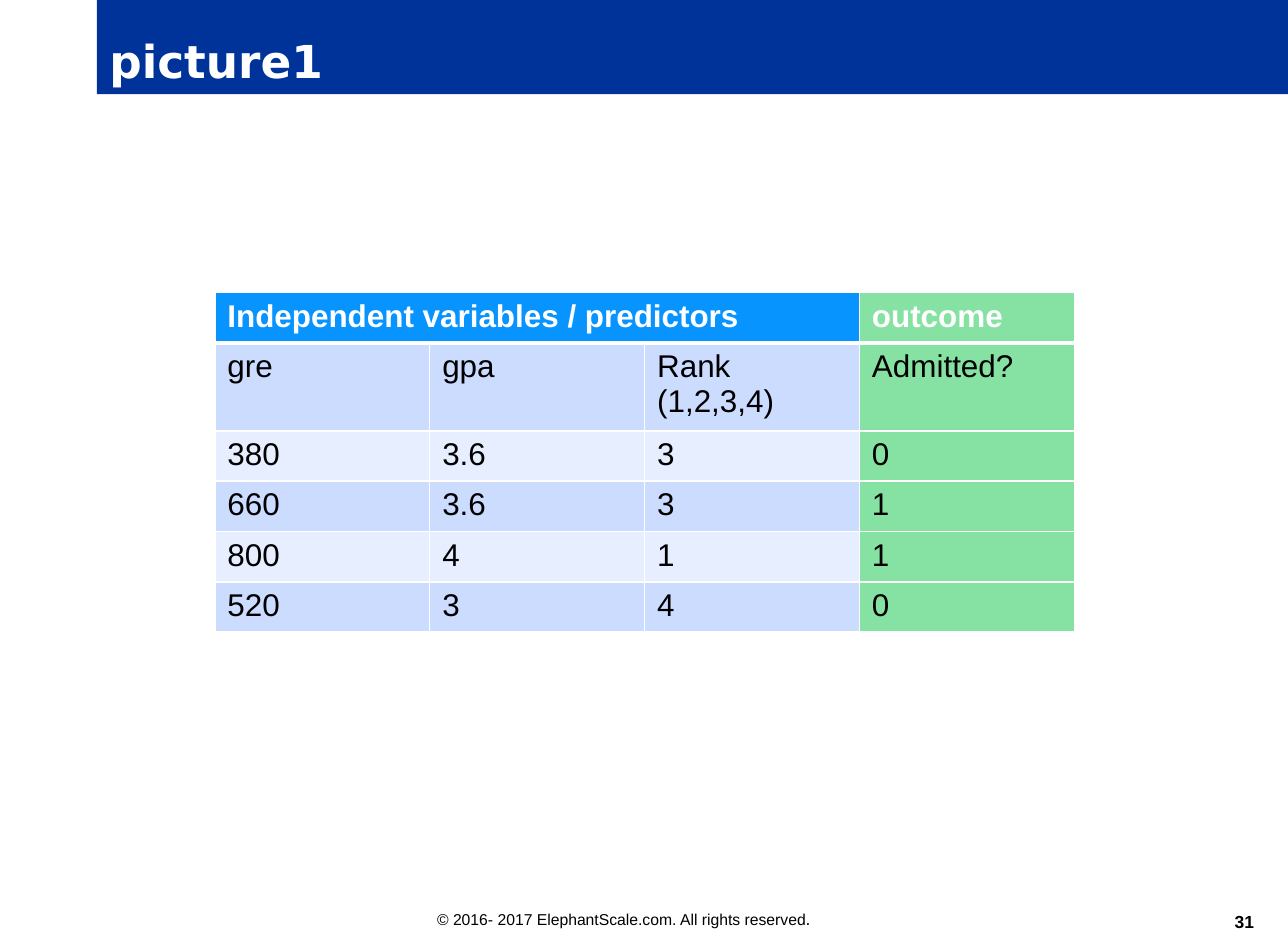
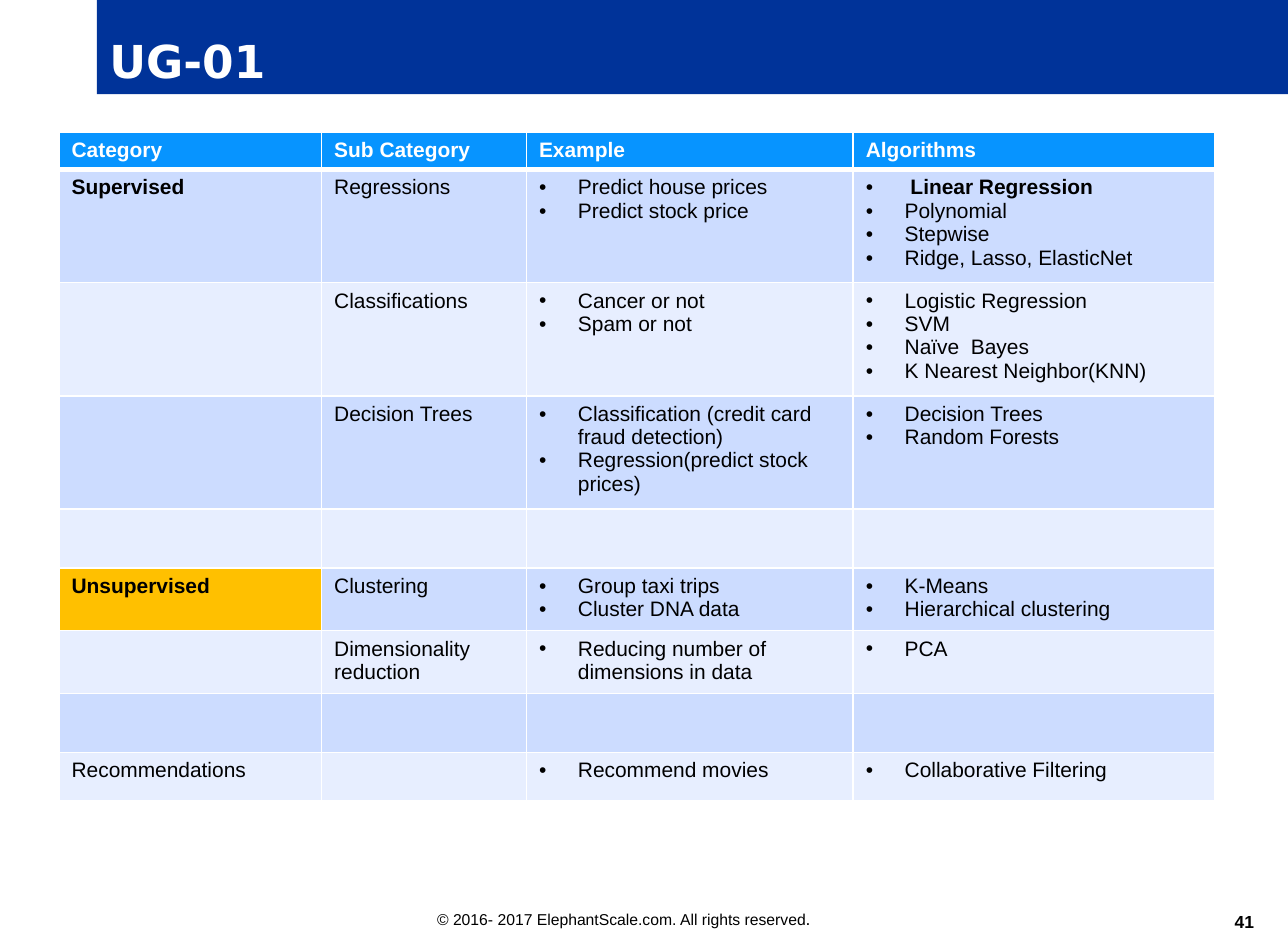
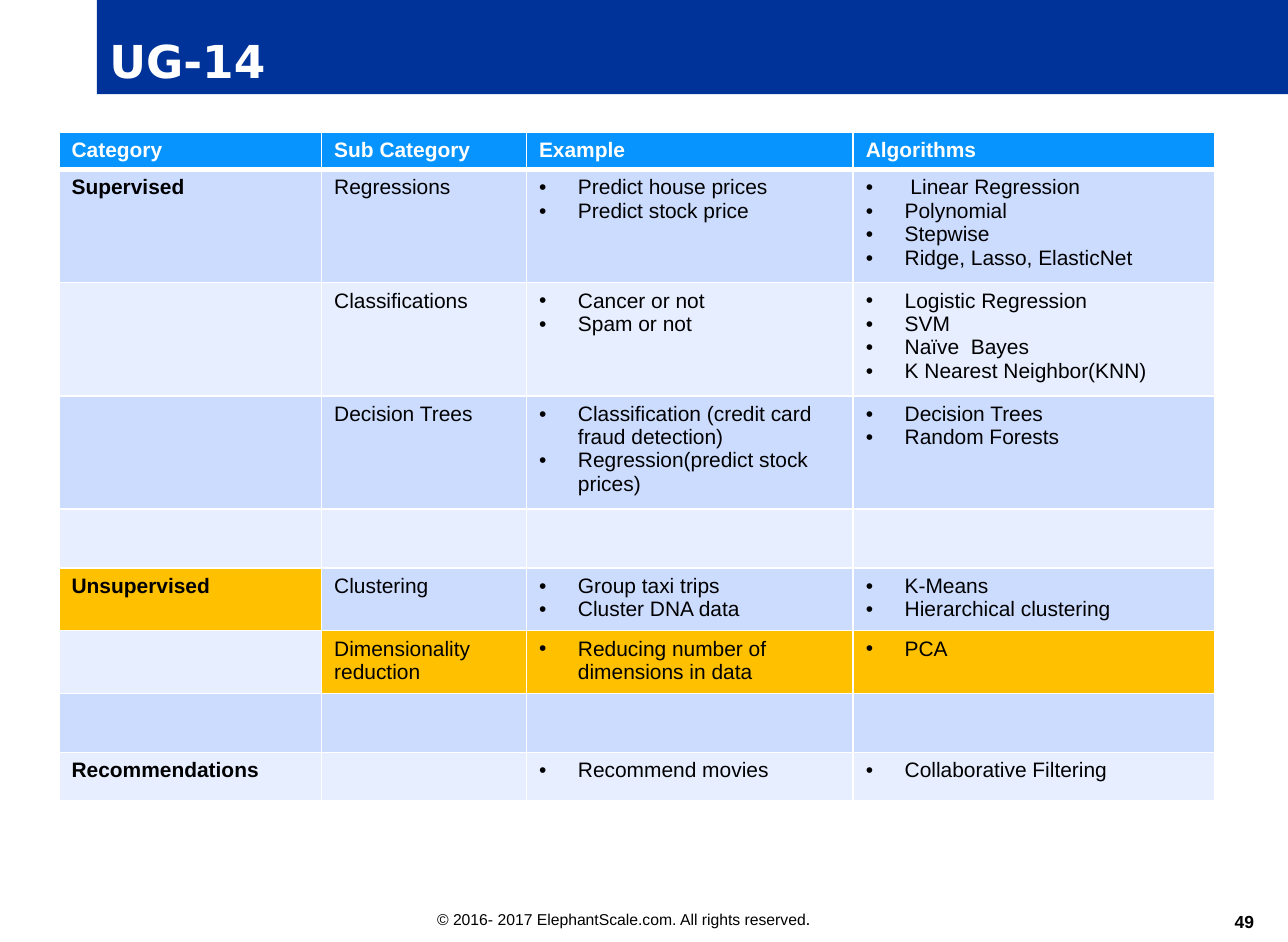
from dataclasses import dataclass

from lxml.etree import SubElement
from pptx import Presentation
from pptx.dml.color import RGBColor
from pptx.enum.text import MSO_ANCHOR as Anchor, MSO_AUTO_SIZE as AutoSize, PP_ALIGN as Align
from pptx.oxml.ns import qn
from pptx.util import Inches, Pt

COLORS = {
    "band": "003399",
    "header": "0794FF",
    "odd_row": "CCDCFF",
    "even_row": "E7EEFF",
    "outcome": "86E2A3",
    "highlight": "FFC000",
    "text": "000000",
    "white": "FFFFFF",
}
BODY_FONT = "Arial"
TITLE_FONT = "DejaVu Sans"
THIN, THICK = 0.96, 3
BULLET_INDENT = 0.31
TITLE_ONLY = 5


@dataclass(frozen=True)
class Grid:
    left: float
    top: float
    widths: tuple[float, ...]
    heights: tuple[float, ...]
    rows: tuple[tuple[str, ...], ...]
    size: int
    header_span: int = 1
    bullet_columns: frozenset[int] = frozenset()
    outcome_column: int | None = None
    bold: frozenset[str] = frozenset()
    highlighted: frozenset[str] = frozenset()


@dataclass(frozen=True)
class Page:
    title: str
    number: int
    grid: Grid


ADMISSIONS = (
    ("Independent variables / predictors", "", "", "outcome"),
    ("gre", "gpa", "Rank\n(1,2,3,4)", "Admitted?"),
    ("380", "3.6", "3", "0"),
    ("660", "3.6", "3", "1"),
    ("800", "4", "1", "1"),
    ("520", "3", "4", "0"),
)
NO_ROW = ("", "", "", "")
ALGORITHMS = (
    ("Category", "Sub Category", "Example", "Algorithms"),
    ("Supervised", "Regressions", "Predict house prices\nPredict stock price",
     " Linear Regression\nPolynomial\nStepwise\nRidge, Lasso, ElasticNet"),
    ("", "Classifications", "Cancer or not\nSpam or not",
     "Logistic Regression\nSVM\nNaïve  Bayes\nK Nearest Neighbor(KNN)"),
    ("", "Decision Trees",
     "Classification (credit card fraud detection)\nRegression(predict stock prices)",
     "Decision Trees\nRandom Forests"),
    NO_ROW,
    ("Unsupervised", "Clustering", "Group taxi trips\nCluster DNA data",
     "K-Means\nHierarchical clustering"),
    ("", "Dimensionality\nreduction", "Reducing number of dimensions in data", "PCA"),
    NO_ROW,
    ("Recommendations", "", "Recommend movies", "Collaborative Filtering"),
)


def algorithm_grid(bold: set[str], highlighted: set[str]) -> Grid:
    return Grid(
        0.47, 1.05, (2.09, 1.63, 2.6, 2.88),
        (0.29,) + (0.85,) * 3 + (0.47,) * 4 + (0.38,),
        ALGORITHMS, 12,
        bullet_columns=frozenset({2, 3}),
        bold=frozenset({"Supervised", "Unsupervised"} | bold),
        highlighted=frozenset({"Unsupervised"} | highlighted),
    )


PAGES = (
    Page("picture1", 31, Grid(
        1.71, 2.33, (1.71,) * 4, (0.38, 0.66) + (0.38,) * 4,
        ADMISSIONS, 18, header_span=3, outcome_column=3)),
    Page("UG-01", 41, algorithm_grid({" Linear Regression"}, set())),
    Page("UG-14", 49, algorithm_grid(
        {"Recommendations"},
        {"Dimensionality\nreduction", "Reducing number of dimensions in data", "PCA"})),
)


def rgb(color: str) -> RGBColor:
    return RGBColor.from_string(COLORS[color])


def set_font(font, size: float, color: str = "text", bold: bool = False,
             name: str = BODY_FONT) -> None:
    font.name, font.size, font.bold = name, Pt(size), bold
    font.color.rgb = rgb(color)


def add_solid(parent, tag: str, color: str) -> None:
    SubElement(SubElement(parent, qn(tag)), qn("a:srgbClr"), val=COLORS[color])


def add_bullet(paragraph) -> None:
    properties = paragraph._p.get_or_add_pPr()
    indent = Inches(BULLET_INDENT)
    properties.set("marL", str(indent))
    properties.set("indent", str(-indent))
    add_solid(properties, "a:buClr", "text")
    SubElement(properties, qn("a:buFont"), typeface=BODY_FONT)
    SubElement(properties, qn("a:buChar"), char="•")


def add_borders(cell, row: int) -> None:
    widths = {
        "a:lnL": THIN,
        "a:lnR": THIN,
        "a:lnT": THICK if row == 1 else THIN,
        "a:lnB": THICK if row == 0 else THIN,
    }
    properties = cell._tc.get_or_add_tcPr()
    for side, width in widths.items():
        line = SubElement(properties, qn(side), w=str(Pt(width)))
        SubElement(SubElement(line, qn("a:solidFill")), qn("a:srgbClr"), val=COLORS["white"])


def cell_color(grid: Grid, row: int, column: int) -> str:
    if column == grid.outcome_column:
        return "outcome"
    if grid.rows[row][column] in grid.highlighted:
        return "highlight"
    if row == 0:
        return "header"
    return "odd_row" if row % 2 else "even_row"


def fill_cell(cell, grid: Grid, row: int, column: int) -> None:
    add_borders(cell, row)
    cell.fill.solid()
    cell.fill.fore_color.rgb = rgb(cell_color(grid, row, column))
    text = grid.rows[row][column]
    cell.text = text
    is_header = row == 0
    for line, paragraph in zip(text.split("\n"), cell.text_frame.paragraphs):
        if line and not is_header and column in grid.bullet_columns:
            add_bullet(paragraph)
        set_font(paragraph.font, grid.size, "white" if is_header else "text",
                 is_header or line in grid.bold)


def add_grid(slide, grid: Grid) -> None:
    table = slide.shapes.add_table(
        len(grid.heights), len(grid.widths), Inches(grid.left), Inches(grid.top),
        Inches(sum(grid.widths)), Inches(sum(grid.heights))).table
    table.horz_banding = False
    for column, width in zip(table.columns, grid.widths):
        column.width = Inches(width)
    for row, height in zip(table.rows, grid.heights):
        row.height = Inches(height)
    for row in range(len(grid.heights)):
        for column in range(len(grid.widths)):
            fill_cell(table.cell(row, column), grid, row, column)
    if grid.header_span > 1:
        table.cell(0, 0).merge(table.cell(0, grid.header_span - 1))


def format_title(slide, text: str) -> None:
    title = slide.shapes.title
    title.left, title.top = Inches(0.77), Inches(0)
    title.width, title.height = Inches(9.48), Inches(0.75)
    title.fill.solid()
    title.fill.fore_color.rgb = rgb("band")
    frame = title.text_frame
    frame.text = text
    frame.auto_size = AutoSize.NONE
    frame.vertical_anchor = Anchor.BOTTOM
    heading = frame.paragraphs[0]
    heading.alignment = Align.LEFT
    set_font(heading.font, 26, "white", True, TITLE_FONT)


def add_footer(slide, number: int) -> None:
    copyright_box = slide.shapes.add_textbox(
        Inches(3.38), Inches(7.18), Inches(4.65), Inches(0.26)).text_frame
    copyright_box.word_wrap = True
    notice = copyright_box.paragraphs[0]
    for text, size in (("© 2016- 2017 ElephantScale.com. All rights reserved", 9), (".", 10)):
        run = notice.add_run()
        run.text = text
        set_font(run.font, size)

    number_box = slide.shapes.add_textbox(
        Inches(9.38), Inches(7.17), Inches(0.6), Inches(0.25)).text_frame
    number_box.word_wrap = True
    number_box.vertical_anchor = Anchor.BOTTOM
    number_box.margin_left = number_box.margin_right = Inches(0)
    number_box.margin_top = number_box.margin_bottom = Inches(0)
    number_box.text = str(number)
    page_number = number_box.paragraphs[0]
    page_number.alignment = Align.RIGHT
    set_font(page_number.font, 10, bold=True)


def main() -> None:
    deck = Presentation()
    deck.slide_width, deck.slide_height = Inches(10.25), Inches(7.5)
    for page in PAGES:
        slide = deck.slides.add_slide(deck.slide_layouts[TITLE_ONLY])
        format_title(slide, page.title)
        add_footer(slide, page.number)
        add_grid(slide, page.grid)
    deck.save("out.pptx")


if __name__ == "__main__":
    main()
